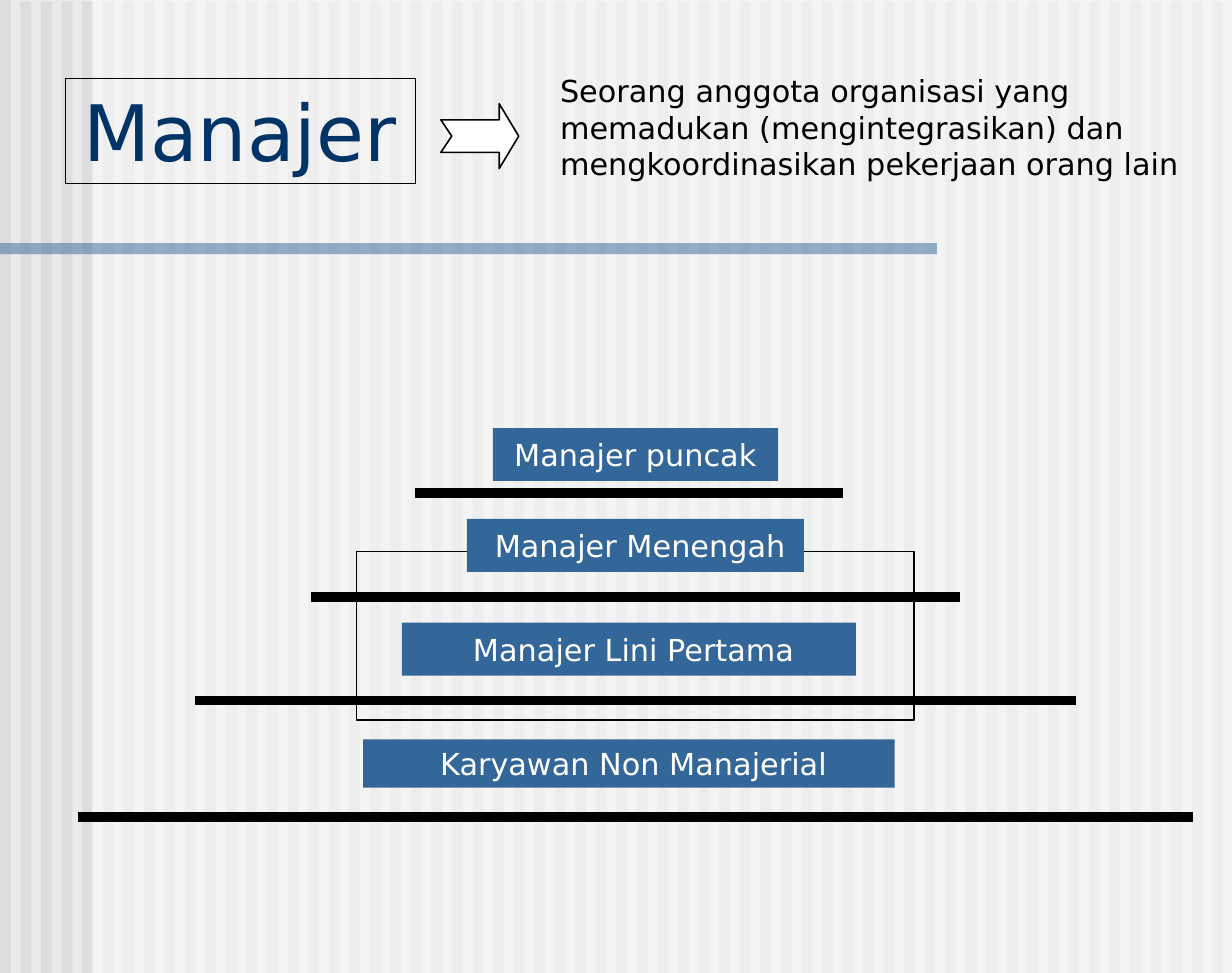
from lxml import etree
from pptx import Presentation
from pptx.dml.color import RGBColor
from pptx.enum.shapes import MSO_CONNECTOR, MSO_SHAPE
from pptx.enum.text import MSO_ANCHOR, PP_ALIGN
from pptx.oxml.ns import qn
from pptx.util import Inches, Pt

RECT = MSO_SHAPE.RECTANGLE
STRAIGHT = MSO_CONNECTOR.STRAIGHT
TOP, MIDDLE, BOTTOM = MSO_ANCHOR.TOP, MSO_ANCHOR.MIDDLE, MSO_ANCHOR.BOTTOM
LEFT, CENTER = PP_ALIGN.LEFT, PP_ALIGN.CENTER
FONT = "DejaVu Sans"
GRID = 1 / 12
WIDTH, HEIGHT = 95 * GRID, 75 * GRID
BLACK, WHITE, NAVY, BLUE = "000000", "FFFFFF", "003366", "336699"
PAPER, STRIPE = "EAEAEA", "DDDDDD"


def rgb(hex_color):
    """Turn a hex string into a colour."""
    return RGBColor.from_string(hex_color)


def style(s, fill=None, line=None, weight=0.75, alpha=None):
    """Set the fill, outline and opacity of a shape without a shadow."""
    s.shadow.inherit = False
    if fill:
        s.fill.solid()
        s.fill.fore_color.rgb = rgb(fill)
    else:
        s.fill.background()
    if line:
        s.line.color.rgb = rgb(line)
        s.line.width = Pt(weight)
    else:
        s.line.fill.background()
    if alpha:
        color = s._element.spPr.find(qn("a:solidFill")).find(qn("a:srgbClr"))
        etree.SubElement(color, qn("a:alpha")).set("val", str(alpha * 1000))


def add_rect(slide, x, y, w, h, **look):
    """Add a styled rectangle."""
    s = slide.shapes.add_shape(RECT, Inches(x), Inches(y), Inches(w), Inches(h))
    style(s, **look)
    return s


def write(s, text, size, color, align, anchor, insets):
    """Fill a shape with one paragraph of text."""
    tf = s.text_frame
    tf.word_wrap = True
    tf.vertical_anchor = anchor
    tf.margin_left, tf.margin_top, tf.margin_right, tf.margin_bottom = map(Inches, insets)
    p = tf.paragraphs[0]
    p.text = text
    p.alignment = align
    p.font.name = FONT
    p.font.size = Pt(size)
    p.font.color.rgb = rgb(color)


def add_backdrop(slide, w, h):
    """Draw the striped paper, its pale veil and the divider bar."""
    slide.background.fill.solid()
    slide.background.fill.fore_color.rgb = rgb(PAPER)
    count, last = 60, 7.79
    for i in range(count):
        top = 0.01 if i else 0
        add_rect(slide, i * last / (count - 1), top, 0.07, h - top, fill=STRIPE)
    add_rect(slide, 0.59, 0, w - 0.59, h, fill=WHITE, alpha=50)
    add_rect(slide, 0, h / 4, 6.02, 0.07, fill=BLUE, alpha=50)


def add_arrow(slide, x, y, w, h):
    """Draw the notched arrow in its box."""
    neck, notch, shaft = x + 0.75 * w, x + 0.07, h / 4
    mid, bottom = y + h / 2, y + h
    points = [(x, y + shaft), (neck, y + shaft), (neck, y), (x + w, mid),
              (neck, bottom), (neck, bottom - shaft), (x, bottom - shaft), (notch, mid)]
    points = [(Inches(px), Inches(py)) for px, py in points]
    builder = slide.shapes.build_freeform(*points[0])
    builder.add_line_segments(points[1:], close=True)
    style(builder.convert_to_shape(), fill=WHITE, line=BLACK)


def add_definition(slide, x, y):
    """Place the term, the arrow and the definition side by side."""
    title = add_rect(slide, x, y, 2.25, 0.68, line=BLACK, weight=0.25)
    write(title, "Manajer", 36, NAVY, CENTER, BOTTOM, (0.08, 0.04, 0.08, 0.04))
    add_arrow(slide, x + 29 * GRID, y + 2 * GRID, 6 * GRID, 5 * GRID)
    s = slide.shapes.add_textbox(Inches(x + 37 * GRID), Inches(y - GRID),
                                 Inches(4.25), Inches(0.8))
    write(s, "Seorang anggota organisasi yang memadukan (mengintegrasikan) dan "
          "mengkoordinasikan pekerjaan orang lain",
          14, BLACK, LEFT, TOP, (0.1, 0.05, 0.1, 0.05))


def add_rule(slide, x, y, w):
    """Draw a thick horizontal line."""
    s = slide.shapes.add_connector(STRAIGHT, Inches(x), Inches(y), Inches(x + w), Inches(y))
    s.line.color.rgb = rgb(BLACK)
    s.line.width = Pt(4.5)
    etree.SubElement(s._element.spPr, qn("a:effectLst"))


def add_hierarchy(slide, x, y):
    """Stack the management levels on the grid, each above its own rule."""
    add_rect(slide, x + 21.5 * GRID, y + 9.5 * GRID, 43 * GRID, 13 * GRID, line=BLACK)
    levels = [
        ("Manajer puncak", 32, 0, 22, 0.34, 0.1, 26, 5, 33),
        ("Manajer Menengah", 30, 7, 26, 0.34, 0.16, 18, 13, 50),
        ("Manajer Lini Pertama", 25, 15, 35, 0.34, 0.16, 9, 21, 68),
        ("Karyawan Non Manajerial", 22, 24, 41, 0.31, 0.16, 0, 30, 86),
    ]
    for label, left, top, w, h, inset, rule_left, rule_top, rule_w in levels:
        s = add_rect(slide, x + left * GRID, y + top * GRID, w * GRID, h, fill=BLUE)
        write(s, label, 14, WHITE, CENTER, MIDDLE, (inset, 0, 0.1, 0))
        add_rule(slide, x + rule_left * GRID, y + rule_top * GRID, rule_w * GRID)


def main():
    """Build the slide and save it."""
    prs = Presentation()
    prs.slide_width, prs.slide_height = Inches(WIDTH), Inches(HEIGHT)
    slide = prs.slides.add_slide(prs.slide_layouts[6])
    add_backdrop(slide, WIDTH, HEIGHT)
    add_definition(slide, 5 * GRID, 6 * GRID)
    add_hierarchy(slide, 6 * GRID, 33 * GRID)
    prs.save("out.pptx")


if __name__ == "__main__":
    main()
